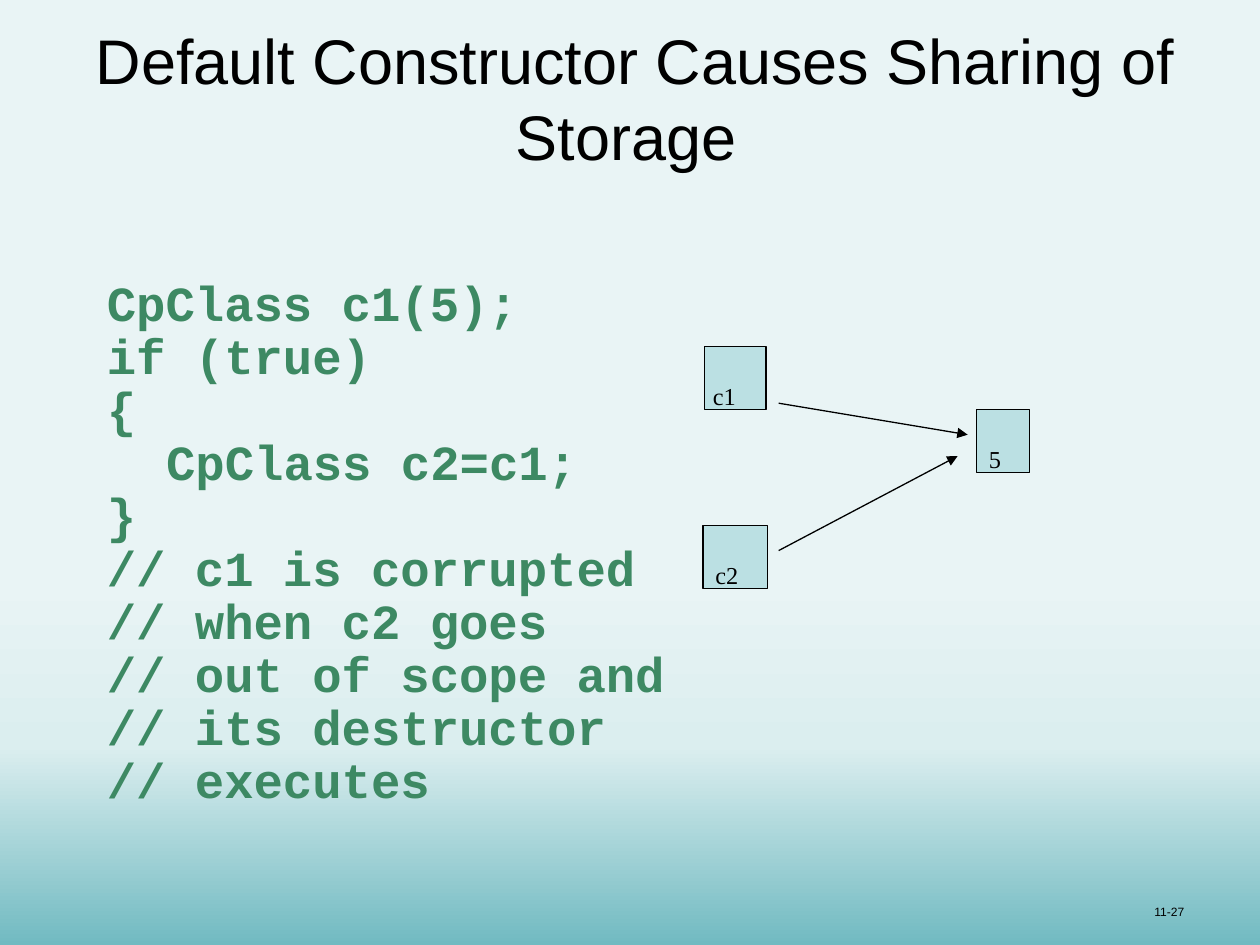
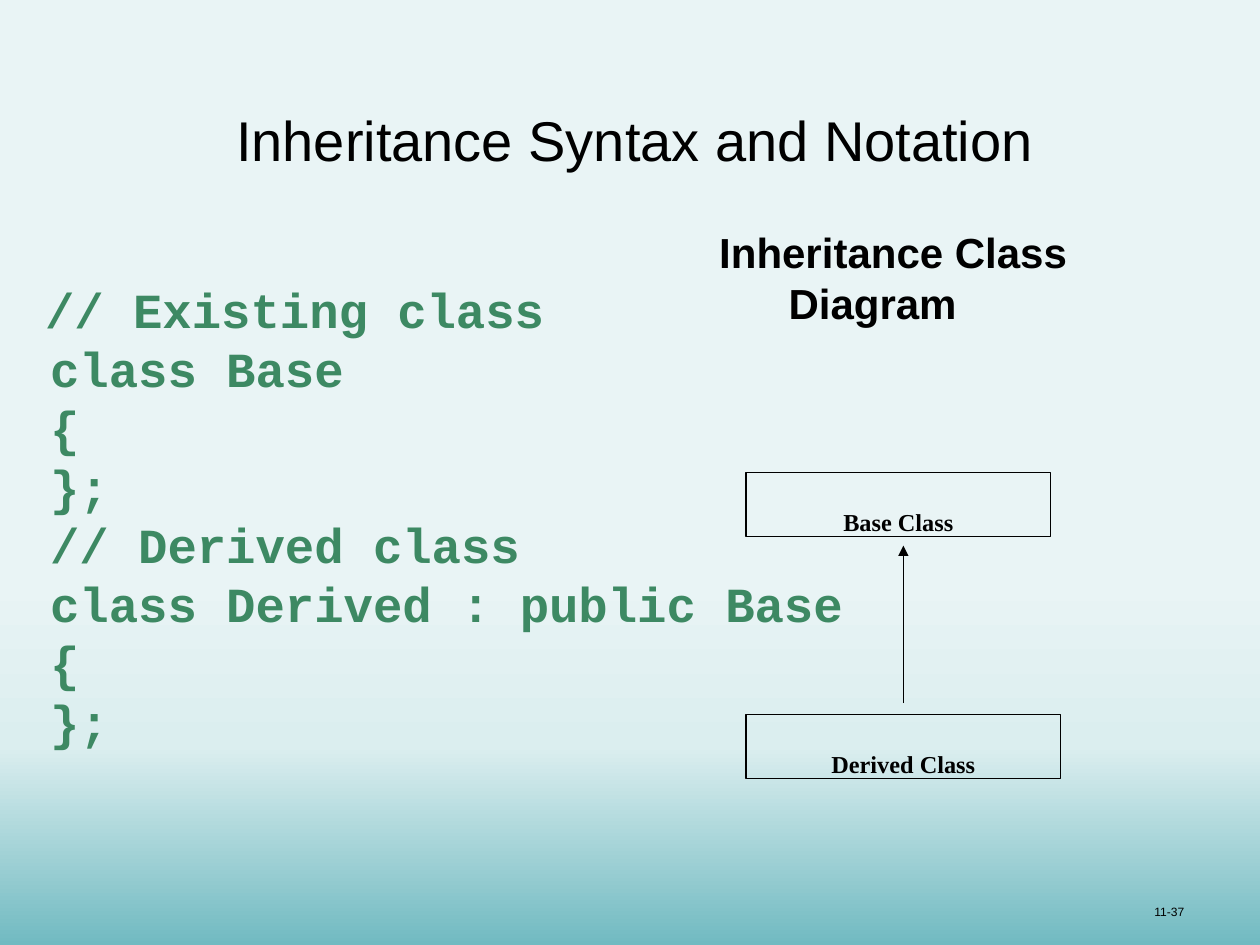
"""Builds two slides on copy constructors and inheritance in C++."""
from dataclasses import dataclass
from typing import Optional

from lxml import etree
from pptx import Presentation
from pptx import util as u
from pptx.dml import color
from pptx.enum import shapes, text
from pptx.oxml import ns

COLOURS = {"ink": "000000", "code": "3D8963", "cell": "BBE0E3"}
BACKDROP = [(0, "71BAC1"), (21, "DBEEEF"), (39, "E9F4F5"), (100, "E9F4F5")]
LEFT, CENTRE, RIGHT = text.PP_ALIGN.LEFT, text.PP_ALIGN.CENTER, text.PP_ALIGN.RIGHT
TOP, BOTTOM = text.MSO_ANCHOR.TOP, text.MSO_ANCHOR.BOTTOM


@dataclass(frozen=True)
class Style:
    """Look of a piece of text."""
    font: str
    size: int
    colour: str = "ink"
    bold: bool = False
    align: int = LEFT
    anchor: int = TOP
    right_inset: float = 0.1
    spacing: Optional[float] = None
    lowered: bool = False
    wrap: bool = True
    grow: bool = False


@dataclass(frozen=True)
class Place:
    """Position and size in inches."""
    left: float
    top: float
    width: float
    height: float

    def lengths(self) -> list:
        """Gives the four lengths in the order python-pptx takes."""
        return [u.Inches(v) for v in (self.left, self.top, self.width, self.height)]


@dataclass(frozen=True)
class Line:
    """A line of text with its indent in inches."""
    words: str
    indent: float = 0


@dataclass(frozen=True)
class Arrow:
    """Start and end of an arrow in inches."""
    start: tuple[float, float]
    end: tuple[float, float]


@dataclass(frozen=True)
class Cell:
    """A storage cell and the label that lies on it."""
    label: str
    place: Place
    label_place: Place


TITLE_PLACE = Place(0.33, 0.33, 9.42, 1.09)
NUMBER_PLACE = Place(7.42, 6.84, 2.08, 0.5)
NUMBER = Style("Arial", 12, align=RIGHT, anchor=BOTTOM, lowered=True)
CODE = Style("Courier New", 28, "code", True, right_inset=0)
TIGHT_CODE = Style("Courier New", 28, "code", True, right_inset=0, spacing=0.9)
HEADING = Style("Arial", 24, bold=True, right_inset=0)
CELL_LABEL = Style("Times New Roman", 24, lowered=True, wrap=False, grow=True)
CLASS_NAME = Style("Times New Roman", 24, bold=True, align=CENTRE, lowered=True, grow=True)
TAB = 0.47

SHARING_CODE = [
    Line("CpClass c1(5);"), Line("if (true)"), Line("{"), Line("CpClass c2=c1;", TAB), Line("}"),
    Line("// c1 is corrupted"), Line("// when c2 goes"), Line("// out of scope and"),
    Line("// its destructor"), Line("// executes"),
]
CELLS = [
    Cell("c2", Place(5.58, 4.17, 0.51, 0.5), Place(5.58, 4.17, 0.52, 0.51)),
    Cell("c1", Place(5.59, 2.75, 0.49, 0.5), Place(5.56, 2.75, 0.52, 0.51)),
    Cell("5", Place(7.75, 3.25, 0.42, 0.5), Place(7.75, 3.25, 0.37, 0.5)),
]
POINTERS = [Arrow((6.18, 3.2), (7.68, 3.45)), Arrow((6.18, 4.37), (7.6, 3.62))]

INHERITANCE_CODE = [Line("// Existing class", 0.43)] + [
    Line(words, TAB) for words in (
        "class Base", "{", "};", "// Derived class", "class Derived : public Base", "{", "};")
]
DIAGRAM_HEADING = [Line("Inheritance Class", 0.65), Line("Diagram", 1.2)]
CLASSES = {
    "Base Class": Place(5.92, 3.75, 2.42, 0.51),
    "Derived Class": Place(5.92, 5.67, 2.5, 0.51),
}
DERIVES = Arrow((7.17, 5.58), (7.17, 4.33))


def rgb(name: str) -> color.RGBColor:
    """Looks up a colour by its role."""
    return color.RGBColor.from_string(COLOURS[name])


def paint_backdrop(master) -> None:
    """Gives the master the gradient that all slides share."""
    fill = master.background.fill
    fill.gradient()
    fill.gradient_angle = 90
    stops = master.element.xpath(".//p:bg//a:gsLst")[0]
    for old in list(stops):
        stops.remove(old)
    for percent, value in BACKDROP:
        stop = etree.SubElement(stops, ns.qn("a:gs"), pos=str(percent * 1000))
        etree.SubElement(stop, ns.qn("a:srgbClr"), val=value)


def write(shape, lines: list[Line], style: Style) -> None:
    """Fills a shape with styled lines."""
    frame = shape.text_frame
    frame.word_wrap = style.wrap
    frame.vertical_anchor = style.anchor
    frame.margin_right = u.Inches(style.right_inset)
    frame.auto_size = (text.MSO_AUTO_SIZE.SHAPE_TO_FIT_TEXT if style.grow
                       else text.MSO_AUTO_SIZE.NONE)
    for index, line in enumerate(lines):
        paragraph = frame.add_paragraph() if index else frame.paragraphs[0]
        paragraph.alignment = style.align
        paragraph.line_spacing = style.spacing
        if line.indent:
            properties = paragraph._p.get_or_add_pPr()
            properties.set("marL", str(u.Inches(line.indent)))
            properties.set("indent", "0")
        run = paragraph.add_run()
        run.text = line.words
        run.font.name = style.font
        run.font.size = u.Pt(style.size)
        run.font.bold = style.bold
        run.font.color.rgb = rgb(style.colour)
        if style.lowered:
            run._r.get_or_add_rPr().set("baseline", "-25000")


def add_words(slide, place: Place, lines: list[Line], style: Style) -> None:
    """Adds a text box."""
    write(slide.shapes.add_textbox(*place.lengths()), lines, style)


def add_box(slide, place: Place, fill: Optional[str] = None):
    """Adds a thinly outlined rectangle."""
    box = slide.shapes.add_shape(shapes.MSO_SHAPE.RECTANGLE, *place.lengths())
    box.shadow.inherit = False
    if fill:
        box.fill.solid()
        box.fill.fore_color.rgb = rgb(fill)
    else:
        box.fill.background()
    box.line.color.rgb = rgb("ink")
    box.line.width = u.Pt(0.75)
    return box


def add_arrow(slide, arrow: Arrow) -> None:
    """Adds a straight arrow with a triangle at its end."""
    ends = [u.Inches(v) for v in arrow.start + arrow.end]
    link = slide.shapes.add_connector(shapes.MSO_CONNECTOR.STRAIGHT, *ends)
    link.line.color.rgb = rgb("ink")
    link.line.width = u.Pt(0.75)
    etree.SubElement(link.line._get_or_add_ln(), ns.qn("a:tailEnd"), type="triangle")
    etree.SubElement(link._element.spPr, ns.qn("a:effectLst"))


def add_page(deck, title: str, title_size: int, number: str):
    """Adds a blank slide with its title and page number."""
    slide = deck.slides.add_slide(deck.slide_layouts[6])
    title_style = Style("Arial", title_size, align=CENTRE, anchor=BOTTOM)
    add_words(slide, TITLE_PLACE, [Line(title)], title_style)
    add_words(slide, NUMBER_PLACE, [Line(number)], NUMBER)
    return slide


def build_sharing(deck) -> None:
    """Builds the slide on shared storage."""
    slide = add_page(deck, "Default Constructor Causes Sharing of Storage ", 36, "11-27")
    add_words(slide, Place(0.75, 2.17, 4.58, 4.92), SHARING_CODE, TIGHT_CODE)
    for cell in CELLS:
        add_box(slide, cell.place, "cell")
        add_words(slide, cell.label_place, [Line(cell.label)], CELL_LABEL)
    for pointer in POINTERS:
        add_arrow(slide, pointer)


def build_inheritance(deck) -> None:
    """Builds the slide on inheritance."""
    slide = add_page(deck, "Inheritance Syntax and Notation", 32, "11-37")
    add_words(slide, Place(-0.17, 2.17, 7, 4.5), INHERITANCE_CODE, CODE)
    add_words(slide, Place(4.96, 1.75, 4.45, 5), DIAGRAM_HEADING, HEADING)
    for name, place in CLASSES.items():
        write(add_box(slide, place), [Line(name)], CLASS_NAME)
    add_arrow(slide, DERIVES)


def main() -> None:
    """Builds and saves the deck."""
    deck = Presentation()
    deck.slide_width, deck.slide_height = u.Inches(10), u.Inches(7.5)
    paint_backdrop(deck.slide_master)
    build_sharing(deck)
    build_inheritance(deck)
    deck.save("out.pptx")


if __name__ == "__main__":
    main()
